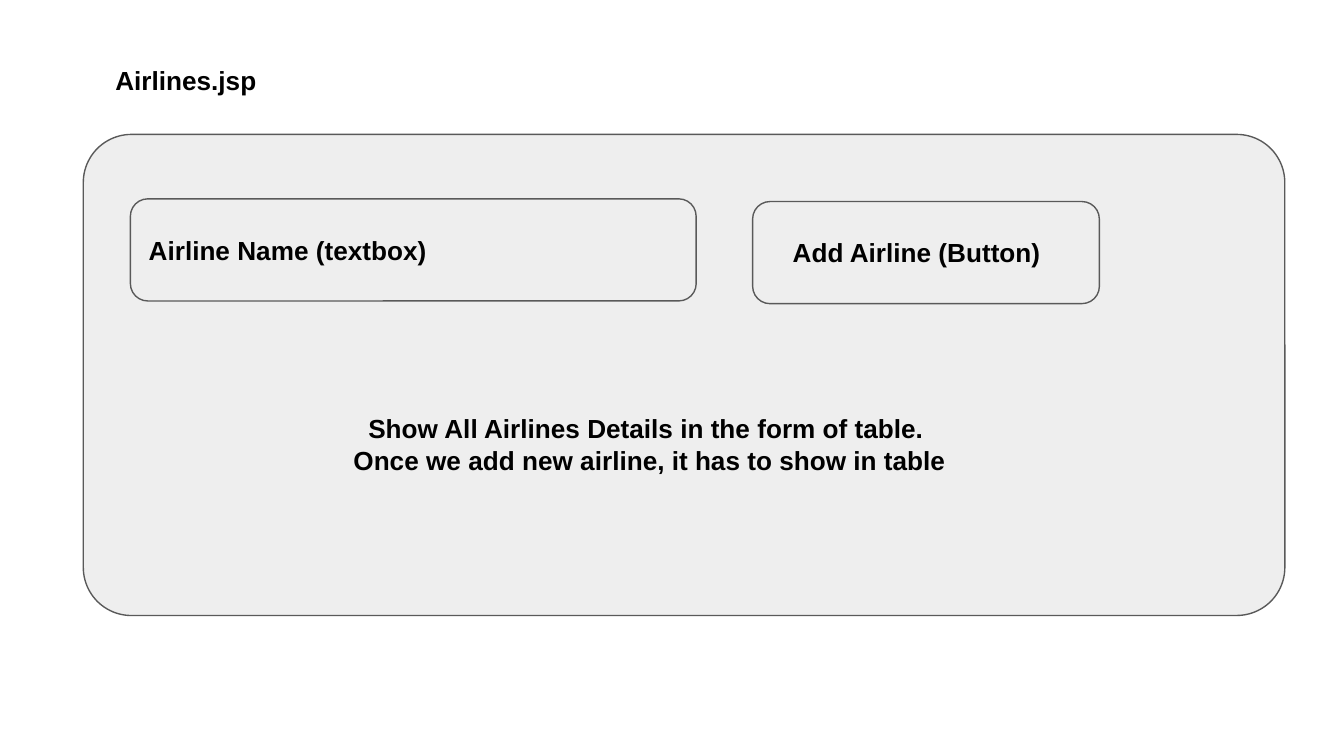
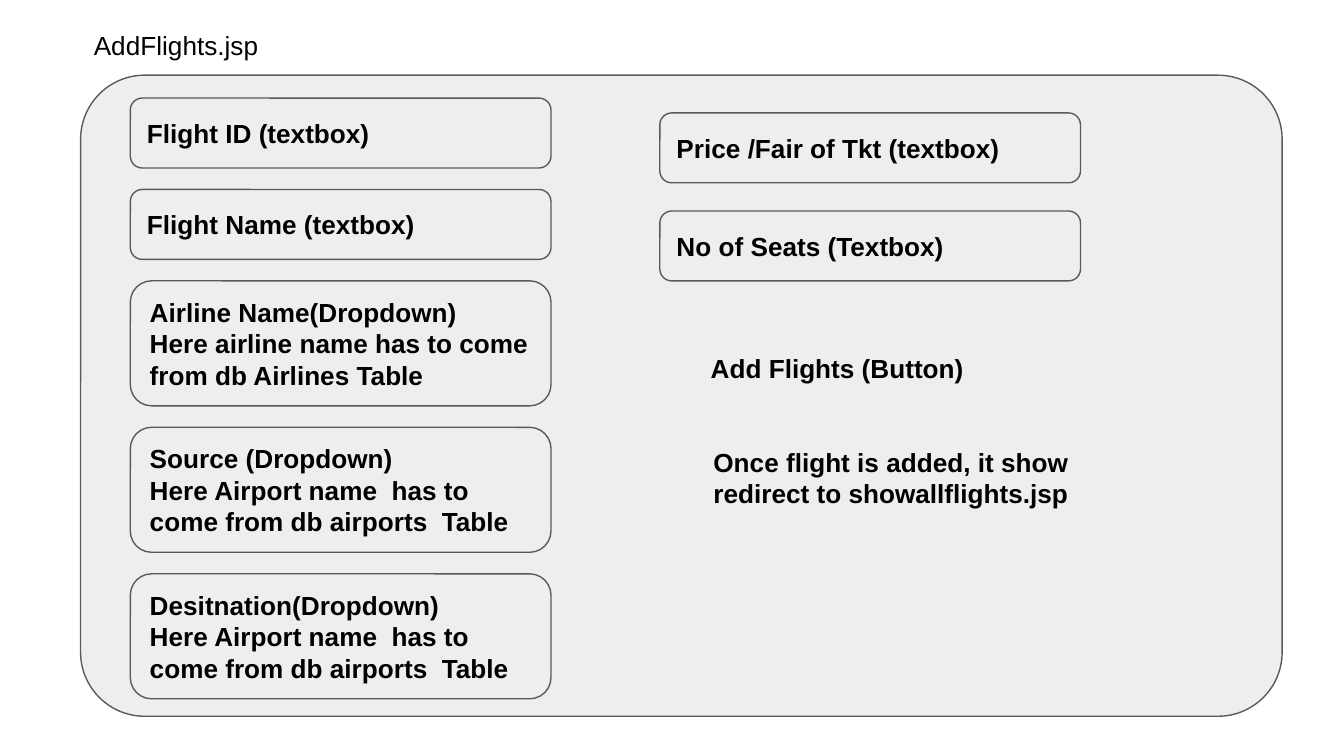
from pptx import Presentation
from pptx.dml.color import RGBColor
from pptx.enum.shapes import MSO_SHAPE
from pptx.enum.text import MSO_ANCHOR, PP_ALIGN
from pptx.util import Inches, Pt

INK, PANEL, OUTLINE = "000000", "EEEEEE", "595959"
FONT, TEXT_SIZE, INSET = "Arial", 14, 0.1
PANEL_WIDTH, PANEL_ROUNDING, FIELD_ROUNDING = 8.94, 0.1, 0.17
FIELD_LEFT = 0.97
LINE_HEIGHT, PARAGRAPH_HEIGHT = 0.44, 0.67

# Places are left, top, width, height in inches.
AIRLINES = {
    "title": ("Airlines.jsp", 0.76, 0.38, True),
    "panel": (0.62, 1, PANEL_WIDTH, 3.58),
    "fields": [
        (["Airline Name (textbox)"], (FIELD_LEFT, 1.48, 4.21, 0.76)),
        ([], (5.6, 1.5, 2.58, 0.76)),
    ],
    "labels": [
        (["Add Airline (Button)"], (5.8, 1.66, 4.2, LINE_HEIGHT), PP_ALIGN.LEFT),
        (["Show All Airlines Details in the form of table. ",
          "Once we add new airline, it has to show in table"],
         (1.05, 2.97, 7.57, PARAGRAPH_HEIGHT), PP_ALIGN.CENTER),
    ],
}

AIRPORT_HINT = "Here Airport name  has to come from db airports  Table"
FLIGHT_FIELDS = [
    ["Flight ID (textbox)"],
    ["Flight Name (textbox)"],
    ["Airline Name(Dropdown)", "Here airline name has to come from db Airlines Table"],
    ["Source (Dropdown)", AIRPORT_HINT],
    ["Desitnation(Dropdown)", AIRPORT_HINT],
]
TICKET_FIELDS = [["Price /Fair of Tkt (textbox)"], ["No of Seats (Textbox)"]]


def stack(fields, left, top, gap, width=3.13):
    """Place fields below each other; dropdowns with a hint are taller."""
    placed = []
    for lines in fields:
        height = 0.93 if len(lines) > 1 else 0.52
        placed.append((lines, (left, top, width, height)))
        top += height + gap
    return placed


ADD_FLIGHTS = {
    "title": ("AddFlights.jsp", 0.6, 0.12, False),
    "panel": (0.6, 0.56, PANEL_WIDTH, 4.77),
    "fields": stack(FLIGHT_FIELDS, FIELD_LEFT, 0.73, gap=0.16)
    + stack(TICKET_FIELDS, 4.91, 0.84, gap=0.21),
    "labels": [
        (["Add Flights (Button)"], (5.19, 2.52, 2.37, LINE_HEIGHT), PP_ALIGN.LEFT),
        (["Once flight is added, it show redirect to showallflights.jsp"],
         (5.21, 3.22, 2.97, PARAGRAPH_HEIGHT), PP_ALIGN.LEFT),
    ],
}


def color(value):
    return RGBColor.from_string(value)


def inches(place):
    return [Inches(length) for length in place]


def write(box, lines, bold=True, align=PP_ALIGN.LEFT, anchor=MSO_ANCHOR.TOP):
    frame = box.text_frame
    frame.text = "\n".join(lines)
    frame.word_wrap = True
    frame.vertical_anchor = anchor
    frame.margin_left = frame.margin_right = Inches(INSET)
    frame.margin_top = frame.margin_bottom = Inches(INSET)
    for para in frame.paragraphs:
        para.alignment = align
        for span in para.runs:
            span.font.name, span.font.size = FONT, Pt(TEXT_SIZE)
            span.font.bold = bold
            span.font.color.rgb = color(INK)


def add_rounded(page, place, rounding):
    box = page.shapes.add_shape(MSO_SHAPE.ROUNDED_RECTANGLE, *inches(place))
    box.adjustments[0] = rounding
    box.shadow.inherit = False
    box.fill.solid()
    box.fill.fore_color.rgb = color(PANEL)
    box.line.color.rgb = color(OUTLINE)
    box.line.width = Pt(0.75)
    return box


def add_label(page, lines, place, **style):
    write(page.shapes.add_textbox(*inches(place)), lines, **style)


def add_form(deck, form):
    page = deck.slides.add_slide(deck.slide_layouts[6])
    add_rounded(page, form["panel"], PANEL_ROUNDING)
    for lines, place in form["fields"]:
        field = add_rounded(page, place, FIELD_ROUNDING)
        if lines:
            write(field, lines, anchor=MSO_ANCHOR.MIDDLE)
    for lines, place, align in form["labels"]:
        add_label(page, lines, place, align=align)
    title, left, top, bold = form["title"]
    add_label(page, [title], (left, top, 1.9, LINE_HEIGHT), bold=bold)


def main():
    deck = Presentation()
    deck.slide_width = Inches(10)
    deck.slide_height = deck.slide_width * 9 // 16
    for form in (AIRLINES, ADD_FLIGHTS):
        add_form(deck, form)
    deck.save("out.pptx")


if __name__ == "__main__":
    main()
